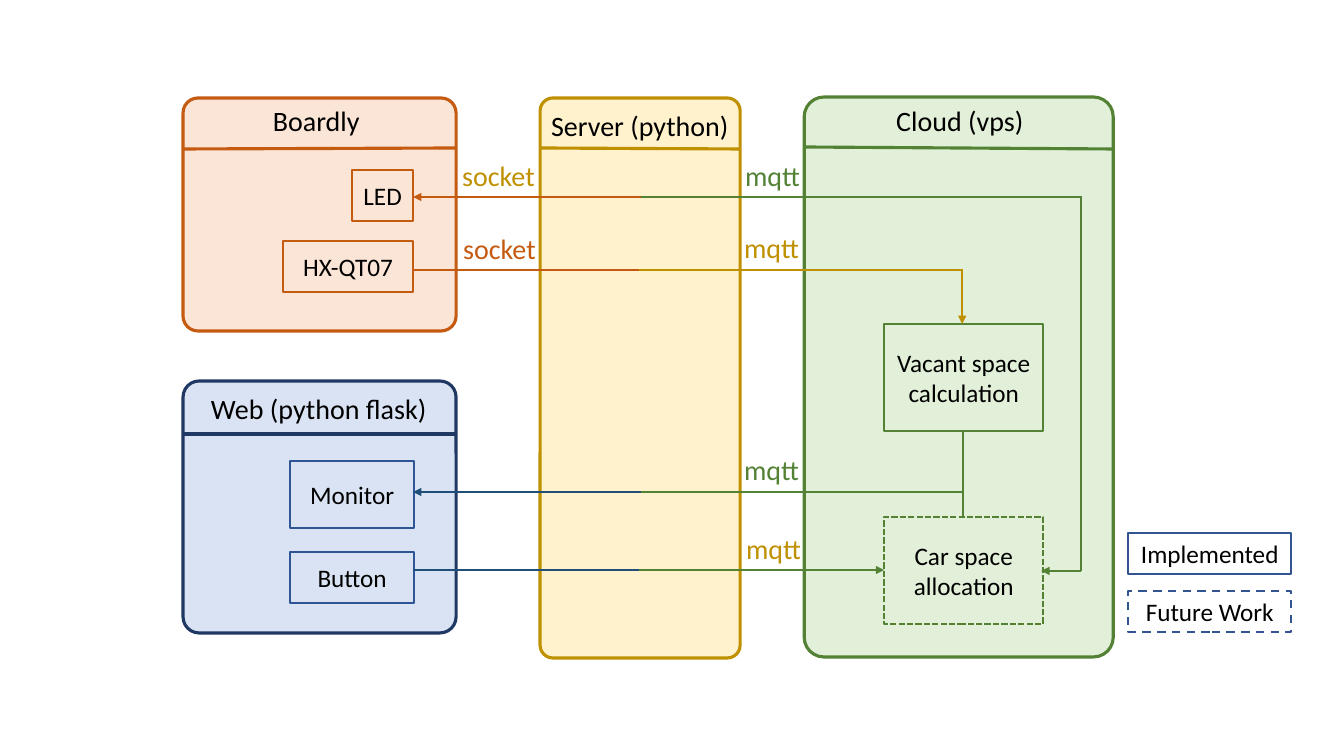
import pptx
import pptx.util
import pptx.dml.color
import pptx.enum.dml
import pptx.enum.shapes
import pptx.enum.text
import pptx.oxml
import pptx.oxml.ns

PIXEL = 914400 / 100.8
COLORS = {
    "black": "000000",
    "gold": "BF9000", "gold_pale": "FFF2CC",
    "green": "548235", "green_pale": "E2F0D9",
    "orange": "C55A11", "orange_pale": "FBE5D6",
    "navy": "203864", "blue_pale": "DAE3F3",
    "blue": "2F5597", "blue_deep": "1F4E79", "legend": "325491",
}
RGB = {name: pptx.dml.color.RGBColor.from_string(code) for name, code in COLORS.items()}
SHAPE = pptx.enum.shapes.MSO_SHAPE
DASH = pptx.enum.dml.MSO_LINE
SOLID = DASH.SOLID

deck = pptx.Presentation()
deck.slide_width = pptx.util.Inches(13.33)
deck.slide_height = pptx.util.Inches(7.5)
page = deck.slides.add_slide(deck.slide_layouts[6])


def add_line(start_x, start_y, end_x, end_y, color, width=1.5, arrow=False):
    ends = [round(value * PIXEL) for value in (start_x, start_y, end_x, end_y)]
    line = page.shapes.add_connector(pptx.enum.shapes.MSO_CONNECTOR.STRAIGHT, *ends)
    line.line.color.rgb = RGB[color]
    line.line.width = pptx.util.Pt(width)
    if arrow:
        tail = pptx.oxml.parse_xml(
            '<a:tailEnd xmlns:a="http://schemas.openxmlformats.org/drawingml/2006/main" type="triangle"/>')
        line.line._get_or_add_ln().append(tail)
    properties = line._element.spPr
    properties.append(properties.makeelement(pptx.oxml.ns.qn("a:effectLst"), {}))


def add_span(box, words, size, color):
    para = box.text_frame.paragraphs[0]
    span = para.add_run()
    span.text = words
    span.font.name = "Calibri"
    span.font.size = pptx.util.Pt(size)
    span.font.color.rgb = RGB[color]
    return para


panels = [
    (540, 98, 200, 560, "gold", "gold_pale", 148, 149),
    (804, 97, 309, 560, "green", "green_pale", 147, 149),
    (183, 98, 273, 233, "orange", "orange_pale", 149, 148),
    (183, 381, 273, 252, "navy", "blue_pale", 434, 434),
]
for left, top, width, height, color, fill, rule_start, rule_end in panels:
    frame = [round(value * PIXEL) for value in (left, top, width, height)]
    panel = page.shapes.add_shape(SHAPE.ROUNDED_RECTANGLE, *frame)
    panel.adjustments[0] = 0.064 * min(273, 273) / 273
    panel.shadow.inherit = False
    panel.fill.solid()
    panel.fill.fore_color.rgb = RGB[fill]
    panel.line.color.rgb = RGB[color]
    panel.line.width = pptx.util.Pt(2.25)
    add_line(left, rule_start, left + width, rule_end, color, 2.25)

blocks = [
    (352, 170, 61, 51, "LED", "orange", SOLID),
    (283, 241, 130, 51, "HX-QT07", "orange", SOLID),
    (290, 461, 124, 67, "Monitor", "blue", SOLID),
    (290, 552, 124, 51, "Button", "blue", SOLID),
    (884, 324, 159, 107, "Vacant space calculation", "green", SOLID),
    (884, 517, 159, 107, "Car space allocation", "green", DASH.SQUARE_DOT),
    (1128, 533, 163, 41, "Implemented", "legend", SOLID),
    (1128, 591, 163, 41, "Future Work", "legend", DASH.DASH),
]
for left, top, width, height, words, color, dash in blocks:
    frame = [round(value * PIXEL) for value in (left, top, width, height)]
    block = page.shapes.add_shape(SHAPE.RECTANGLE, *frame)
    block.shadow.inherit = False
    block.fill.background()
    block.line.color.rgb = RGB[color]
    block.line.width = pptx.util.Pt(1.5)
    block.line.dash_style = dash
    block.text_frame.word_wrap = True
    block.text_frame.vertical_anchor = pptx.enum.text.MSO_ANCHOR.MIDDLE
    para = add_span(block, words, 18, "black")
    para.alignment = pptx.enum.text.PP_ALIGN.CENTER

flows = [
    (643, 197, 413, 197, "orange", True),
    (641, 197, 1081, 197, "green", False),
    (1081, 571, 1081, 196, "green", False),
    (1081, 571, 1041, 571, "green", True),
    (413, 270, 639, 270, "orange", False),
    (639, 270, 962, 270, "gold", False),
    (962, 269, 962, 324, "gold", True),
    (641, 492, 413, 492, "blue_deep", True),
    (641, 492, 963, 492, "green", False),
    (963, 517, 963, 431, "green", False),
    (413, 570, 639, 570, "blue_deep", False),
    (639, 570, 884, 570, "green", True),
]
for start_x, start_y, end_x, end_y, color, arrow in flows:
    add_line(start_x, start_y, end_x, end_y, color, arrow=arrow)

labels = [
    (541, 104, 200, "Server (python)", "black"),
    (886, 99, 154, "Cloud (vps)", "black"),
    (263, 99, 112, "Boardly", "black"),
    (201, 387, 238, "Web (python flask)", "black"),
    (452, 154, 94, "socket", "gold"),
    (453, 227, 94, "socket", "orange"),
    (735, 154, 77, "mqtt", "green"),
    (734, 226, 77, "mqtt", "gold"),
    (734, 448, 77, "mqtt", "green"),
    (736, 527, 77, "mqtt", "gold"),
]
for left, top, width, words, color in labels:
    frame = [round(value * PIXEL) for value in (left, top, width, 44)]
    label = page.shapes.add_textbox(*frame)
    label.text_frame.word_wrap = False
    label.text_frame.auto_size = pptx.enum.text.MSO_AUTO_SIZE.SHAPE_TO_FIT_TEXT
    add_span(label, words, 20, color)

deck.save("out.pptx")
